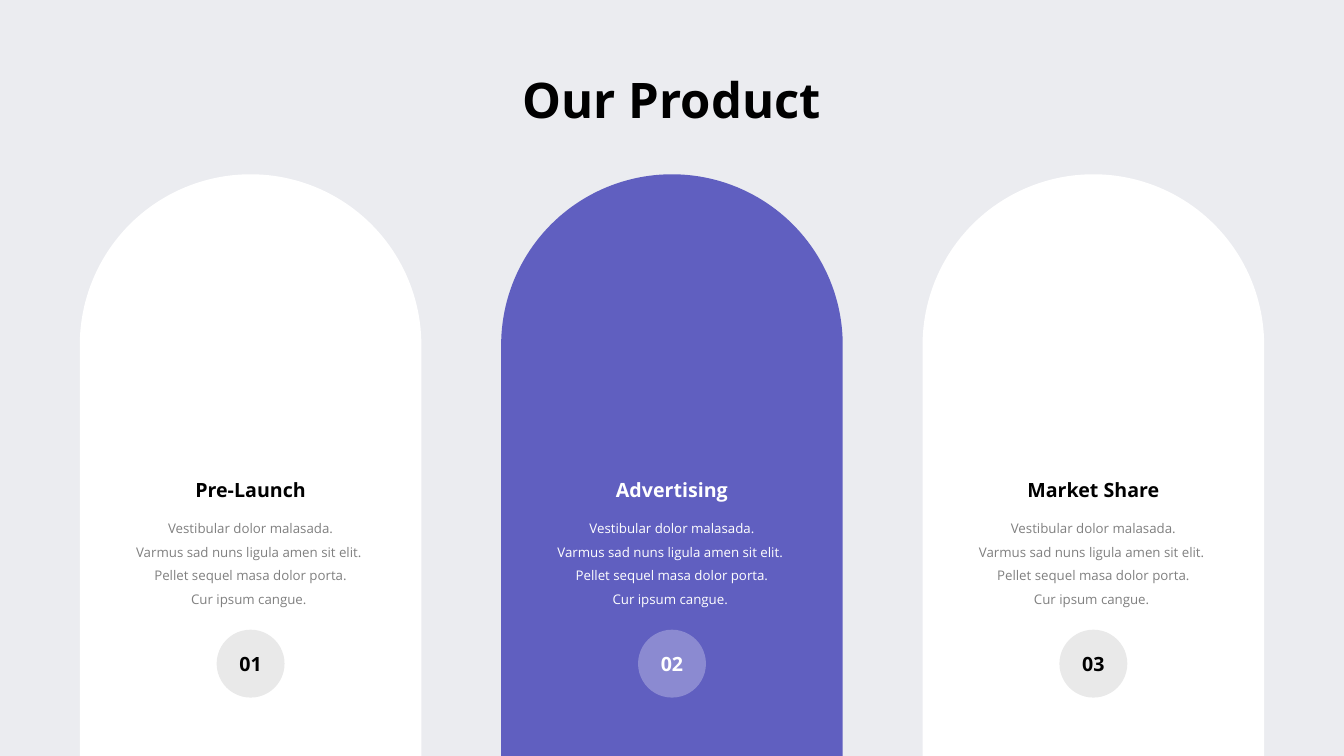
from lxml import etree
from pptx import Presentation
from pptx.dml.color import RGBColor
from pptx.enum.shapes import MSO_SHAPE
from pptx.enum.text import MSO_ANCHOR, MSO_AUTO_SIZE, PP_ALIGN
from pptx.oxml.ns import qn
from pptx.util import Pt

ARCH, CIRCLE = MSO_SHAPE.ROUND_2_SAME_RECTANGLE, MSO_SHAPE.OVAL
TOP, MIDDLE = MSO_ANCHOR.TOP, MSO_ANCHOR.MIDDLE
GROW, FIXED = MSO_AUTO_SIZE.SHAPE_TO_FIT_TEXT, MSO_AUTO_SIZE.NONE
CENTER = PP_ALIGN.CENTER

# Content
HEADLINE = "Our Product"
BODY = [
    "Vestibular dolor malasada.",
    "Varmus sad nuns ligula amen sit elit. ",
    "Pellet sequel masa dolor porta.",
    "Cur ipsum cangue. ",
]
# Step name, width of its box, style
STEPS = [
    ("Pre-Launch", 94.3, "light"),
    ("Advertising", 95, "accent"),
    ("Market Share", 111.6, "light"),
]

THEME = {
    "font": "Open Sans",
    "background": "EBECF0",
    "headline": "000000",
    "sizes": {"headline": 35, "label": 14, "body": 9.5},
    "light": {"arch": "FFFFFF", "label": "000000", "body": "808080",
              "badge": "E9E9E9", "badge_alpha": 100},
    "accent": {"arch": "605FC0", "label": "FFFFFF", "body": "FFFFFF",
               "badge": "FFFFFF", "badge_alpha": 27},
}

# Layout in points
SLIDE_W, SLIDE_H = 960, 540
ARCH_W, ARCH_TOP, PITCH = 244, 124.5, 301
BADGE = 48.5


def centered(x, top, width, height):
    return [Pt(v) for v in (x - width / 2, top, width, height)]


def write(holder, lines, size, color, bold=True, wrap=False, spacing=None):
    frame = holder.text_frame
    frame_format = {
        "text": "\n".join(lines),
        "word_wrap": wrap,
        "auto_size": FIXED if wrap else GROW,
        "vertical_anchor": TOP if wrap else MIDDLE,
    }
    for name, value in frame_format.items():
        setattr(frame, name, value)
    font_format = {"name": THEME["font"], "size": Pt(THEME["sizes"][size]), "bold": bold}
    for paragraph in frame.paragraphs:
        paragraph.alignment = CENTER
        if spacing:
            paragraph.line_spacing = Pt(spacing)
        for name, value in font_format.items():
            setattr(paragraph.font, name, value)
        paragraph.font.color.rgb = RGBColor.from_string(color)


def add_plain(slide, kind, box, color, alpha=100):
    shape = slide.shapes.add_shape(kind, *box)
    shape.shadow.inherit = False
    shape.line.fill.background()
    shape.fill.solid()
    shape.fill.fore_color.rgb = RGBColor.from_string(color)
    if alpha < 100:
        rgb = shape.fill._xPr.find(".//" + qn("a:srgbClr"))
        etree.SubElement(rgb, qn("a:alpha")).set("val", str(alpha * 1000))
    return shape


def add_step(slide, number, x, name, name_width, style):
    # Arch running off the bottom edge
    arch = add_plain(slide, ARCH, centered(x, ARCH_TOP, ARCH_W, SLIDE_H - ARCH_TOP), style["arch"])
    arch.adjustments[0], arch.adjustments[1] = 0.5, 0

    # Description and step name
    description = slide.shapes.add_textbox(*centered(x, 362.2, 187.2, 80.6))
    write(description, BODY, "body", style["body"], bold=False, wrap=True, spacing=17)
    label = slide.shapes.add_textbox(*centered(x, 337.7, name_width, 24.5))
    write(label, [name], "label", style["label"])

    # Numbered badge
    add_plain(slide, CIRCLE, centered(x, 449.8, BADGE, BADGE), style["badge"], style["badge_alpha"])
    numeral = slide.shapes.add_textbox(*centered(x, 461.8, 31, 24.5))
    write(numeral, [f"{number:02d}"], "label", style["label"])


def main():
    deck = Presentation()
    deck.slide_width, deck.slide_height = Pt(SLIDE_W), Pt(SLIDE_H)
    slide = deck.slides.add_slide(deck.slide_layouts[5])
    slide.background.fill.solid()
    slide.background.fill.fore_color.rgb = RGBColor.from_string(THEME["background"])

    # Title
    title = slide.shapes.title
    title.left, title.top, title.width, title.height = centered(SLIDE_W / 2, 46, 237.6, 49.7)
    write(title, [HEADLINE], "headline", THEME["headline"])

    # Three steps, spread evenly around the slide centre
    first_x = SLIDE_W / 2 - PITCH * (len(STEPS) - 1) / 2
    for index, (name, name_width, style) in enumerate(STEPS):
        add_step(slide, index + 1, first_x + index * PITCH, name, name_width, THEME[style])

    deck.save("out.pptx")


if __name__ == "__main__":
    main()
